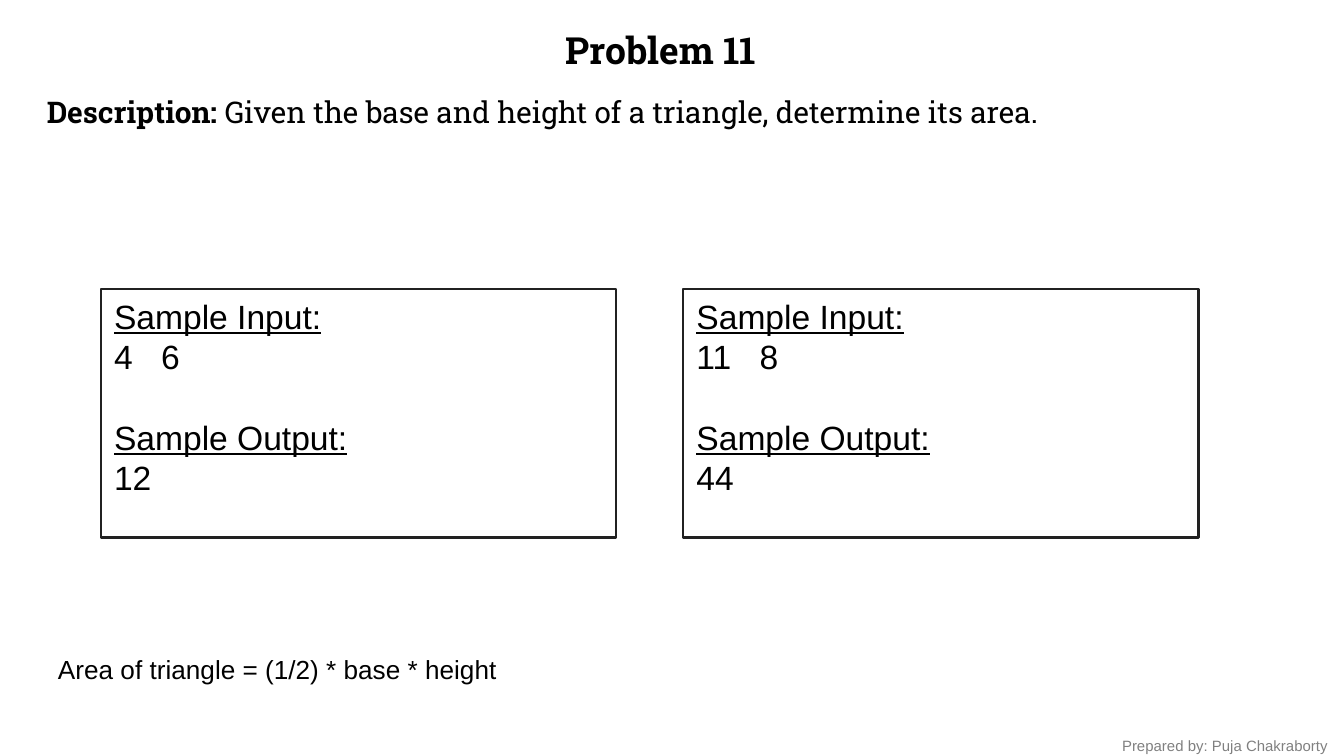
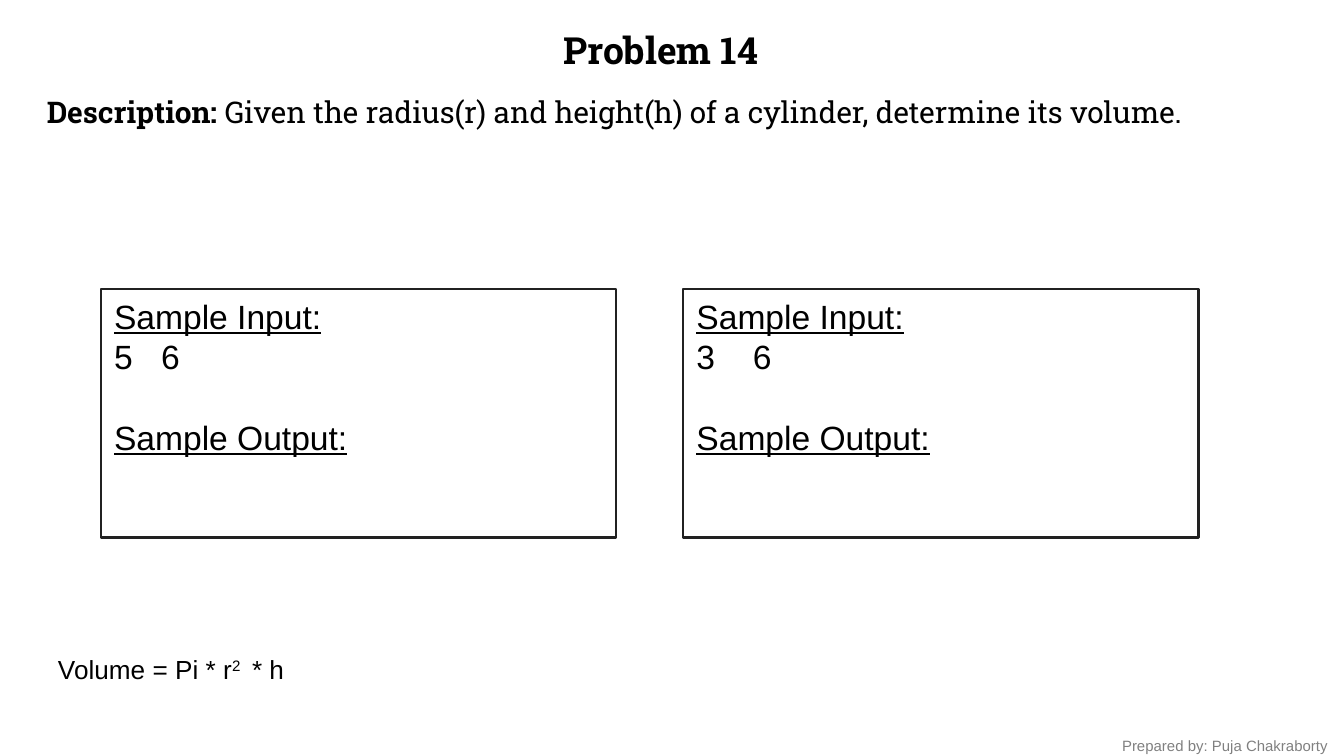
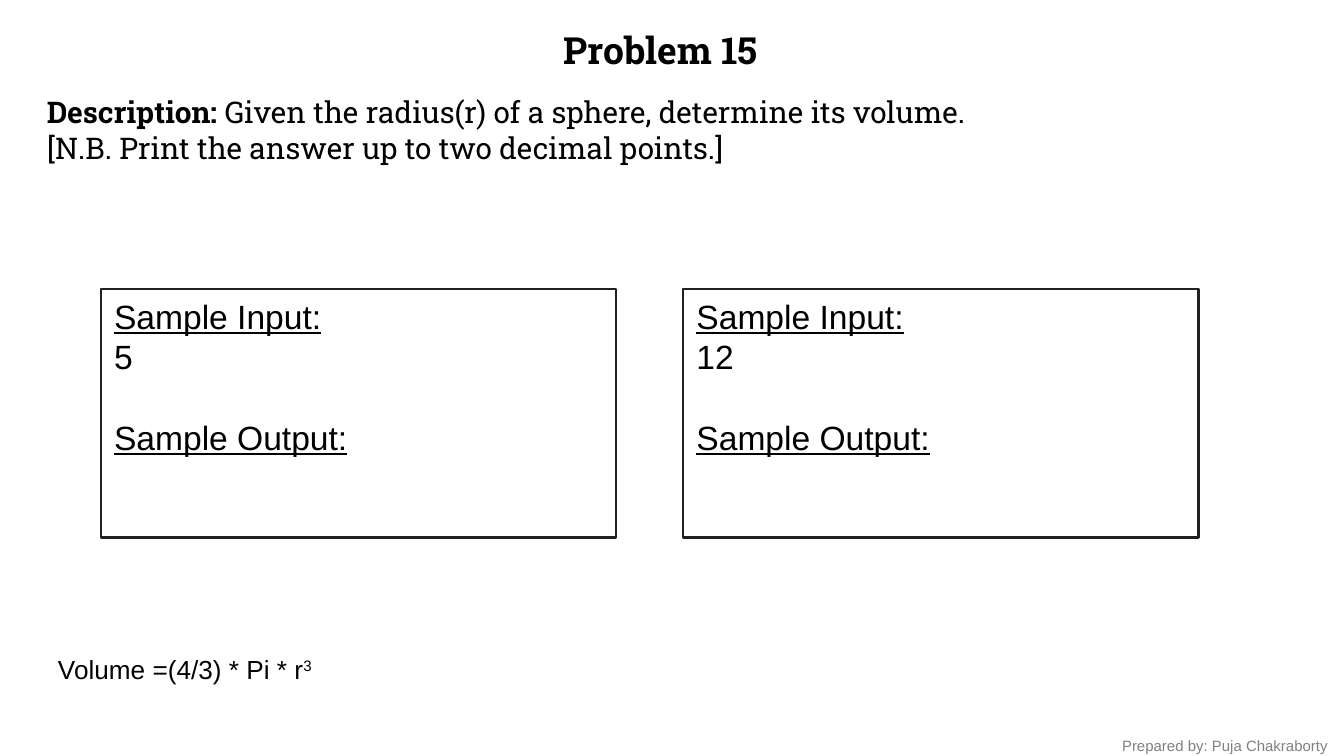
"""Build three geometry exercise slides, each with two sample cards and a formula."""
from dataclasses import dataclass
from typing import NamedTuple

from lxml import etree
from pptx import Presentation
from pptx import util as u
from pptx.dml.color import RGBColor
from pptx.enum import shapes, text
from pptx.oxml.ns import qn

BLACK = RGBColor(0x00, 0x00, 0x00)
GRAY = RGBColor(0x80, 0x80, 0x80)
CHARCOAL = RGBColor(0x21, 0x21, 0x21)
SLAB, SANS = "Roboto Slab", "Arial"
WIDTH = u.Inches(10)
HEIGHT = u.Emu(WIDTH * 9 // 16)
COLUMN, ROW = WIDTH / 120, HEIGHT / 112.5
LEADING = 1.2
CARD_COLUMN, CARD_STEP = 9, 52
TITLE_ONLY = 5


class Area(NamedTuple):
    """A place on the grid, in columns and rows."""
    column: float
    row: float
    columns: float
    rows: float


class Span(NamedTuple):
    """A stretch of text with its own emphasis."""
    words: str
    bold: bool = False
    underline: bool = False
    raised: bool = False


@dataclass(frozen=True)
class Sample:
    """One worked example; a gap in inches separates two input values."""
    given: str
    result: str = ""
    gap: float = 0


@dataclass(frozen=True)
class Problem:
    """The content of one slide."""
    number: int
    description: list[str]
    samples: list[Sample]
    formula: list[Span]


HEADING = Area(26, 3, 66, 8.8)
CREDIT = Area(99, 108.6, 22, 4.8)
FORMULA = Area(4, 96.2, 49, 6.8)

PROBLEMS = [
    Problem(11, ["Given the base and height of a triangle, determine its area."],
            [Sample("4\t6", "12", 0.35), Sample("11\t8", "44", 0.47)],
            [Span("Area of triangle = (1/2) * base * height")]),
    Problem(14, ["Given the radius(r) and height(h) of a cylinder, determine its volume."],
            [Sample("5\t6", gap=0.35), Sample("3\t6", gap=0.42)],
            [Span("Volume = Pi * r"), Span("2 ", raised=True), Span(" * h")]),
    Problem(15, ["Given the radius(r) of a sphere, determine its volume.",
                 "[N.B. Print the answer up to two decimal points.]"],
            [Sample("5"), Sample("12")],
            [Span("Volume =(4/3) * Pi * r"), Span("3", raised=True)]),
]


def place(area: Area) -> tuple[int, int, int, int]:
    """Turn a grid area into left, top, width and height."""
    return (round(area.column * COLUMN), round(area.row * ROW),
            round(area.columns * COLUMN), round(area.rows * ROW))


def write(shape, lines: list[list[Span]], *, size: float, font: str = SANS,
          color: RGBColor = BLACK, align=text.PP_ALIGN.LEFT, wrap: bool = True) -> list:
    """Fill a shape with lines of spans and return the paragraphs."""
    frame = shape.text_frame
    frame.word_wrap = wrap
    frame.auto_size = text.MSO_AUTO_SIZE.NONE
    frame.vertical_anchor = text.MSO_ANCHOR.TOP
    for index, spans in enumerate(lines):
        paragraph = frame.add_paragraph() if index else frame.paragraphs[0]
        paragraph.alignment = align
        paragraph.line_spacing = u.Pt(size * LEADING)
        for span in spans:
            run = paragraph.add_run()
            run.text = span.words
            run.font.name, run.font.size = font, u.Pt(size)
            run.font.bold, run.font.underline = span.bold, span.underline
            run.font.color.rgb = color
            if span.raised:
                run.font._element.set("baseline", "30000")
    return list(frame.paragraphs)


def add_tab(paragraph, inches: float) -> None:
    """Give a paragraph one left tab stop."""
    stops = etree.SubElement(paragraph._p.get_or_add_pPr(), qn("a:tabLst"))
    etree.SubElement(stops, qn("a:tab"), pos=str(u.Inches(inches)), algn="l")


def add_label(slide, area: Area, lines: list[list[Span]], **style) -> None:
    """Add a plain text box."""
    write(slide.shapes.add_textbox(*place(area)), lines, **style)


def add_sample(slide, column: float, sample: Sample) -> None:
    """Draw an outlined card with a sample input and output."""
    card = slide.shapes.add_shape(shapes.MSO_SHAPE.RECTANGLE, *place(Area(column, 43, 46, 37)))
    card.shadow.inherit = False
    card.fill.background()
    card.line.color.rgb, card.line.width = CHARCOAL, u.Pt(1.25)
    size = 18
    lines = [[Span("Sample Input:", underline=True)], [Span(sample.given)],
             [Span("Sample Output:", underline=True)]]
    if sample.result:
        lines.append([Span(sample.result)])
    paragraphs = write(card, lines, size=size)
    paragraphs[2].space_before = u.Pt(size * LEADING)
    if sample.gap:
        add_tab(paragraphs[1], sample.gap)


def add_problem(deck, problem: Problem) -> None:
    """Add the slide of one problem."""
    slide = deck.slides.add_slide(deck.slide_layouts[TITLE_ONLY])
    heading = slide.shapes.title
    heading.left, heading.top, heading.width, heading.height = place(HEADING)
    write(heading, [[Span(f"Problem {problem.number}", bold=True)]],
          size=20, font=SLAB, align=text.PP_ALIGN.CENTER)
    description = [[Span(line)] for line in problem.description]
    description[0].insert(0, Span("Description: ", bold=True))
    add_label(slide, Area(3, 13, 115, 2 + 5.4 * len(description)), description,
              size=16, font=SLAB)
    add_label(slide, CREDIT, [[Span("Prepared by: Puja Chakraborty")]],
              size=8, color=GRAY, wrap=False)
    for index, sample in enumerate(problem.samples):
        add_sample(slide, CARD_COLUMN + index * CARD_STEP, sample)
    add_label(slide, FORMULA, [problem.formula], size=14)


def main() -> None:
    """Build and save the deck."""
    deck = Presentation()
    deck.slide_width, deck.slide_height = WIDTH, HEIGHT
    for problem in PROBLEMS:
        add_problem(deck, problem)
    deck.save("out.pptx")


if __name__ == "__main__":
    main()
